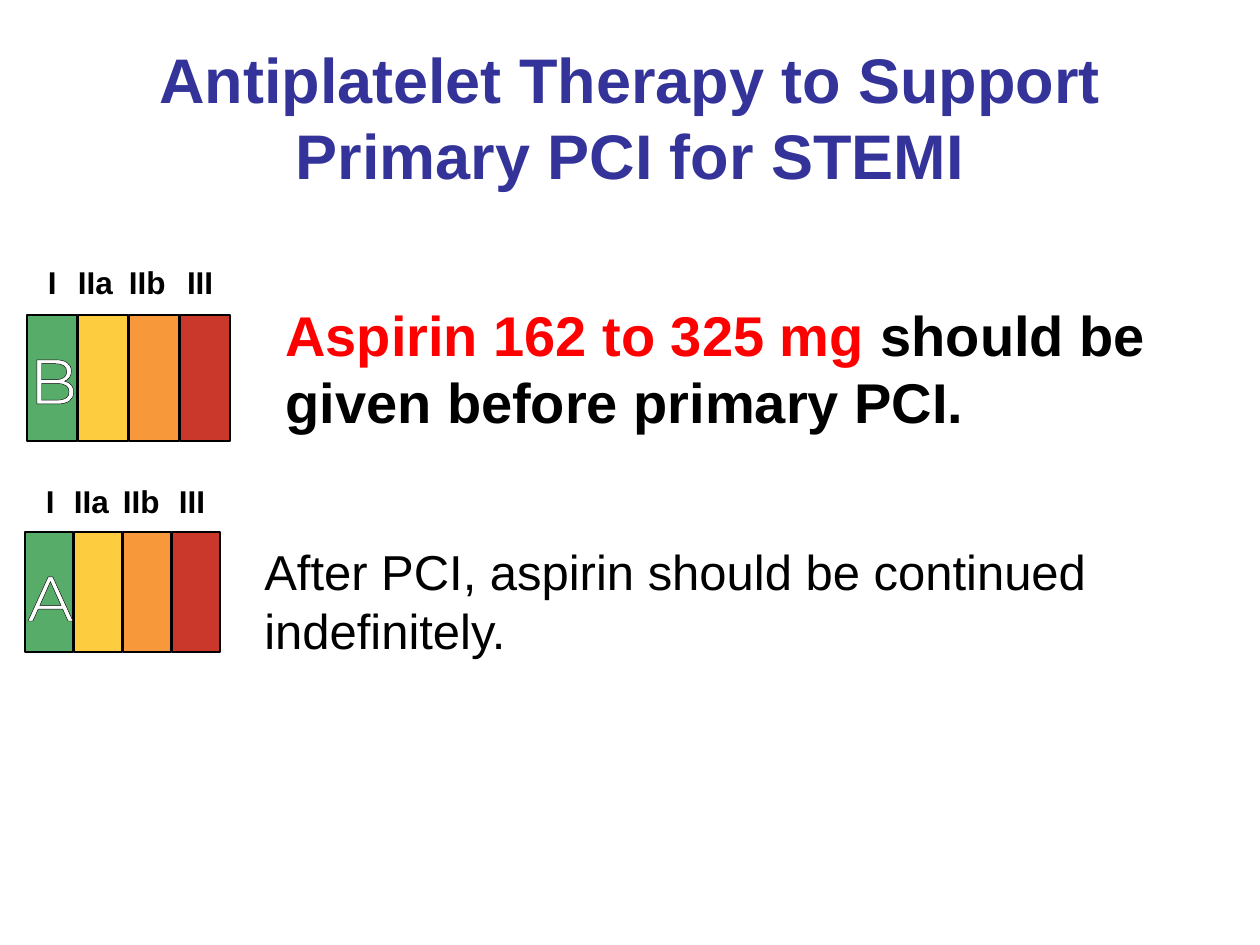
from lxml import etree
from pptx import Presentation
from pptx import util as u
from pptx.dml.color import RGBColor
from pptx.enum import shapes, text
from pptx.oxml.ns import qn

SCALE = 914400 / 126
CLASSES = [("I", "57AC69", 21, 12), ("IIa", "FDCC3F", 0, 38),
           ("IIb", "F7983A", 0, 40), ("III", "C9382A", 7, 30)]


def px(*values):
    return [u.Emu(round(v * SCALE)) for v in values]


def color(value):
    return RGBColor.from_string(value)


def add_text(parent, box, runs, size, bold=False, font="Arial", align=None,
             anchor=text.MSO_ANCHOR.TOP, inset=None, wrap=True):
    tf = parent.add_textbox(*px(*box)).text_frame
    tf.word_wrap = wrap
    tf.vertical_anchor = anchor
    if inset is not None:
        tf.margin_left = tf.margin_right = tf.margin_top = tf.margin_bottom = inset
    p = tf.paragraphs[0]
    p.alignment = align
    p.font.name = font
    p.font.size = u.Pt(size)
    p.font.bold = bold
    for words, fill in runs:
        r = p.add_run()
        r.text = words
        r.font.color.rgb = color(fill)
    return p


def add_bar(parent, box, fill):
    sp = parent.add_shape(shapes.MSO_SHAPE.RECTANGLE, *px(*box))
    sp.shadow.inherit = False
    sp.fill.solid()
    sp.fill.fore_color.rgb = color(fill)
    sp.line.color.rgb = color("000000")
    sp.line.width = u.Pt(1.5)


def add_outlined_letter(parent, box, letter):
    p = add_text(parent, box, [(letter, "FFFFFF")], 36, font="Montserrat",
                 align=text.PP_ALIGN.CENTER, inset=0, wrap=False)
    ln = etree.Element(qn("a:ln"), w=str(u.Pt(0.75)))
    fill = etree.SubElement(ln, qn("a:solidFill"))
    etree.SubElement(fill, qn("a:srgbClr"), val="000000")
    p.runs[0].font._element.insert(0, ln)


def add_rating(s, left, top, pitch, height, label_top, letter):
    group = s.shapes.add_group_shape().shapes
    for i, (label, fill, offset, width) in enumerate(CLASSES):
        x = left + i * pitch
        add_bar(group, (x, top, pitch - 1, height), fill)
        add_text(group, (x + offset, label_top, width, 38),
                 [(label, "000000")], 18, bold=True, inset=0, wrap=False)
    add_outlined_letter(group, (left + 1, top + 26, pitch, 60), letter)


def main():
    prs = Presentation()
    prs.slide_width, prs.slide_height = px(1260, 945)
    s = prs.slides.add_slide(prs.slide_layouts[6])
    add_text(s.shapes, (63, 37, 1134, 158),
             [("Antiplatelet Therapy to Support Primary PCI for STEMI", "333399")],
             36, bold=True, align=text.PP_ALIGN.CENTER,
             anchor=text.MSO_ANCHOR.MIDDLE)
    add_text(s.shapes, (273, 294, 955, 149),
             [("Aspirin 162 to 325 mg ", "FF0000"),
              ("should be given before primary PCI.", "000000")], 32, bold=True)
    add_text(s.shapes, (252, 535, 955, 131),
             [("After PCI, aspirin should be continued indefinitely.", "000000")], 28)
    add_rating(s, 27, 315, 51, 126, 263, "B")
    add_rating(s, 25, 532, 49, 120, 482, "A")
    prs.save("out.pptx")


if __name__ == "__main__":
    main()
